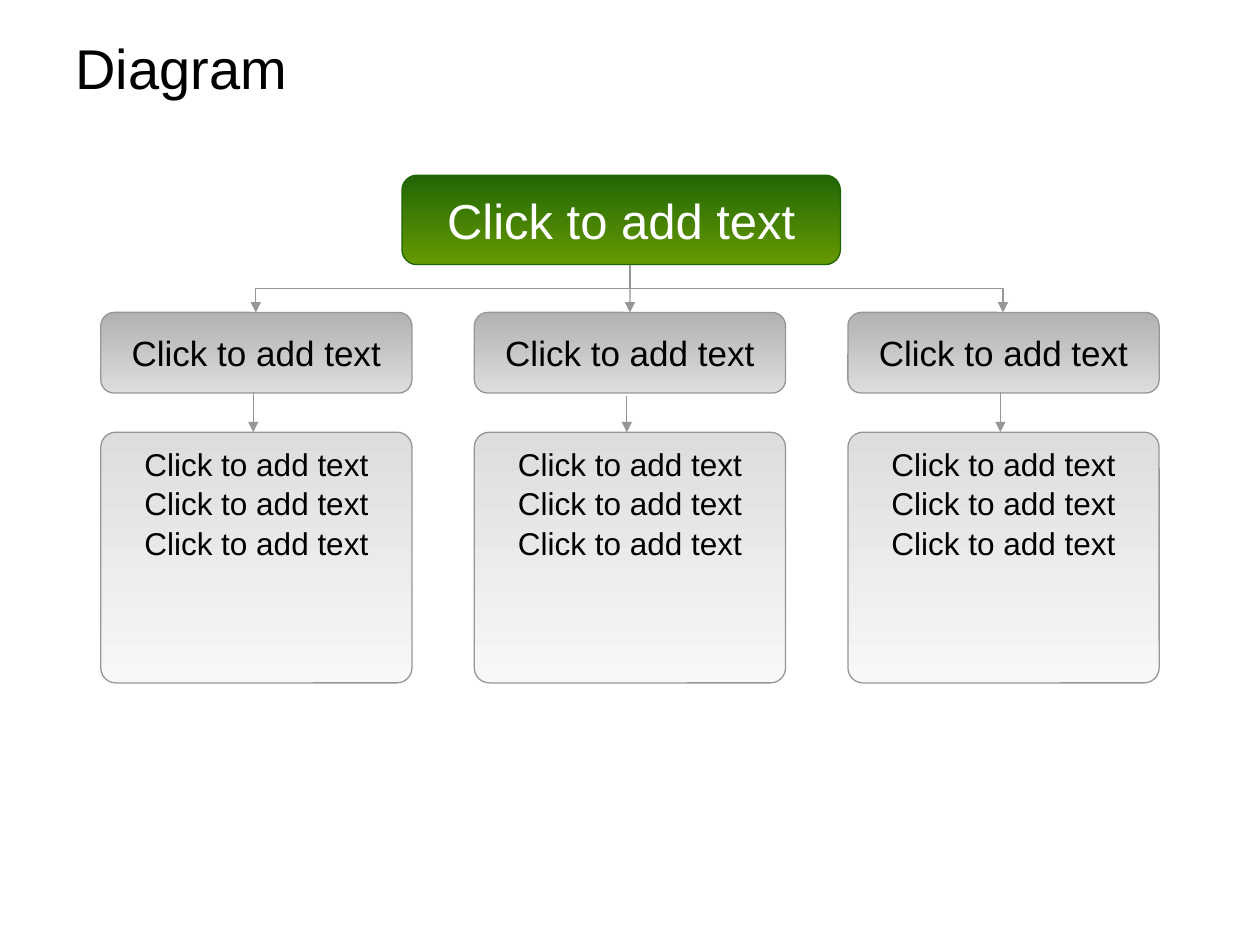
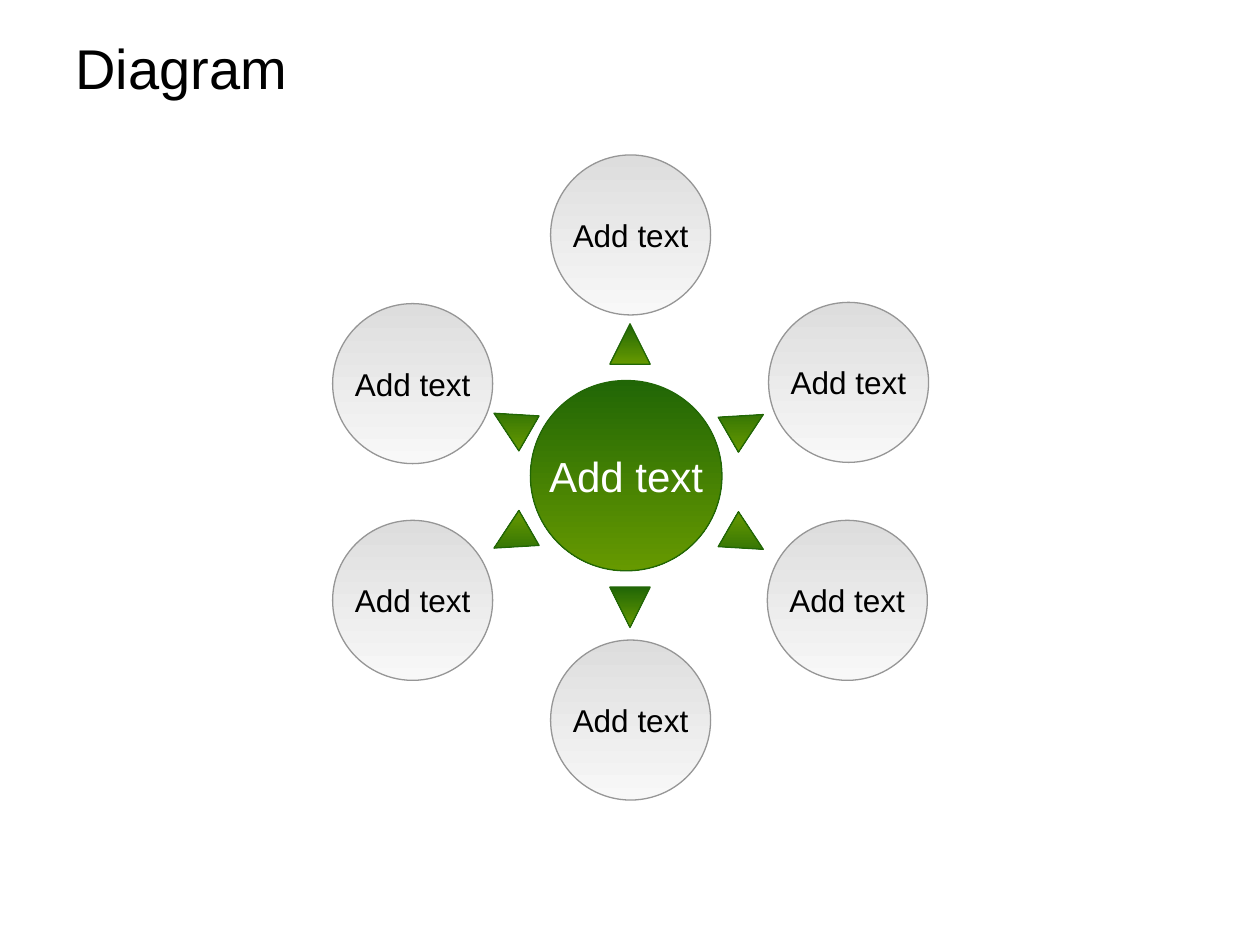
from pptx import Presentation
from pptx import util as u
from pptx.dml.color import RGBColor
from pptx.enum import shapes, text
from pptx.oxml.ns import qn
from lxml import etree

Inches = u.Inches
FONT = "Arial"
C = {
    "black": "000000", "white": "FFFFFF", "outline": "969696",
    "green_dark": "216606", "green": "669900",
    "gray": "B2B2B2", "gray_light": "DDDDDD", "gray_pale": "F8F8F8",
}
# Each style: gradient top, gradient bottom, outline
STYLES = {
    "accent": ("green_dark", "green", "green_dark"),
    "header": ("gray", "gray_light", "outline"),
    "panel": ("gray_light", "gray_pale", "outline"),
}


def rgb(name):
    return RGBColor.from_string(C[name])


def write(sp, lines, size, color="black", align=text.PP_ALIGN.CENTER,
          anchor=text.MSO_ANCHOR.MIDDLE, wrap=False, spacing=None):
    tf = sp.text_frame
    tf.word_wrap = wrap
    tf.vertical_anchor = anchor
    for i, line in enumerate(lines):
        p = tf.paragraphs[0] if i == 0 else tf.add_paragraph()
        p.alignment = align
        if spacing:
            p.line_spacing = spacing
        r = p.add_run()
        r.text = line
        r.font.name, r.font.size = FONT, u.Pt(size)
        r.font.color.rgb = rgb(color)


def add_title(s, title):
    sp = s.shapes.add_textbox(Inches(0.5), Inches(0.21), Inches(9), Inches(0.64))
    write(sp, [title], 32, align=text.PP_ALIGN.LEFT, wrap=True)


def add_gradient_shape(s, kind, x, y, w, h, style):
    top, bottom, outline = STYLES[style]
    sp = s.shapes.add_shape(kind, Inches(x), Inches(y), Inches(w), Inches(h))
    sp.shadow.inherit = False
    sp.fill.gradient()
    sp.fill.gradient_angle = 270
    for stop, name in zip(sp.fill.gradient_stops, (top, bottom)):
        stop.color.rgb = rgb(name)
    # Keep the gradient upright when the shape is turned
    sp._element.spPr.find(qn("a:gradFill")).set("rotWithShape", "0")
    sp.line.color.rgb = rgb(outline)
    sp.line.width = u.Pt(0.75)
    return sp


def add_box(s, x, y, w, h, style, lines, size, radius=0.167, **fmt):
    sp = add_gradient_shape(s, shapes.MSO_SHAPE.ROUNDED_RECTANGLE, x, y, w, h, style)
    sp.adjustments[0] = radius
    write(sp, lines, size, **fmt)
    return sp


def add_pointer(s, x, y, rotation, flips=()):
    sp = add_gradient_shape(s, shapes.MSO_SHAPE.FLOWCHART_EXTRACT,
                            x, y, 0.32, 0.32, "accent")
    sp.rotation = rotation
    for flip in flips:
        sp._element.spPr.find(qn("a:xfrm")).set(flip, "1")


def add_arrow(s, x1, y1, x2, y2, kind=shapes.MSO_CONNECTOR.STRAIGHT):
    c = s.shapes.add_connector(kind, Inches(x1), Inches(y1), Inches(x2), Inches(y2))
    c.line.color.rgb = rgb("outline")
    c.line.width = u.Pt(0.75)
    etree.SubElement(c.line._get_or_add_ln(), qn("a:tailEnd"), type="triangle")
    etree.SubElement(c._element.spPr, qn("a:effectLst"))
    return c


def add_branch(s, x1, y1, x2, y2):
    """Elbow arrow that runs down, across and down again."""
    cx, cy = (x1 + x2) / 2, (y1 + y2) / 2
    half_w, half_h = (y2 - y1) / 2, abs(x2 - x1) / 2
    side = 1 if x2 < x1 else -1
    c = add_arrow(s, cx - side * half_w, cy - half_h, cx + side * half_w,
                  cy + half_h, shapes.MSO_CONNECTOR.ELBOW)
    degrees = 90 if side == 1 else 270
    c._element.spPr.find(qn("a:xfrm")).set("rot", str(degrees * 60000))


def new_slide(prs, title):
    s = prs.slides.add_slide(prs.slide_layouts[6])
    add_title(s, title)
    return s


def build_tree(prs):
    s = new_slide(prs, "Diagram")
    label = "Click to add text"
    add_box(s, 3.19, 1.39, 3.48, 0.71, "accent", [label], 28, color="white")

    # Three columns: header, panel and the arrow between them
    col_w, pitch = 2.47, 2.965
    lefts = [0.8 + i * pitch for i in range(3)]
    headers = [add_box(s, x, 2.48, col_w, 0.64, "header", [label], 20)
               for x in lefts]
    for x in lefts:
        add_box(s, x, 3.43, col_w, 1.99, "panel", [label] * 3, 18, radius=0.06,
                anchor=text.MSO_ANCHOR.TOP, spacing=1.05)

    # Arrows from the root to the headers
    for x in (2.03, 7.96):
        add_branch(s, 5, 2.1, x, 2.48)
    for x, start in zip(lefts, (3.11, 3.14, 3.11)):
        add_arrow(s, x + 1.21, start, x + 1.21, 3.43)
    add_arrow(s, 5, 2.12, 5, 2.48).end_connect(headers[1], 0)


def build_hub(prs):
    s = new_slide(prs, "Diagram")
    label = ["Add text"]
    add_box(s, 4.21, 3.02, 1.52, 1.51, "accent", label, 24, radius=0.5, color="white")

    # Circles around the hub
    circle = 1.27
    for x, y in ((4.37, 1.23), (4.37, 5.08), (2.64, 2.41),
                 (6.1, 2.4), (2.64, 4.13), (6.09, 4.13)):
        add_box(s, x, y, circle, circle, "panel", label, 18, radius=0.5)

    # Pointers from the hub to the circles
    add_pointer(s, 3.9, 3.2, 300)
    add_pointer(s, 4.84, 2.57, 0)
    add_pointer(s, 4.84, 4.66, 180)
    add_pointer(s, 5.76, 3.21, 60, ["flipH"])
    add_pointer(s, 3.9, 4.11, 60, ["flipV"])
    add_pointer(s, 5.76, 4.12, 300, ["flipH", "flipV"])


def main():
    prs = Presentation()
    prs.slide_width, prs.slide_height = Inches(10), Inches(7.5)
    build_tree(prs)
    build_hub(prs)
    prs.save("out.pptx")


if __name__ == "__main__":
    main()
